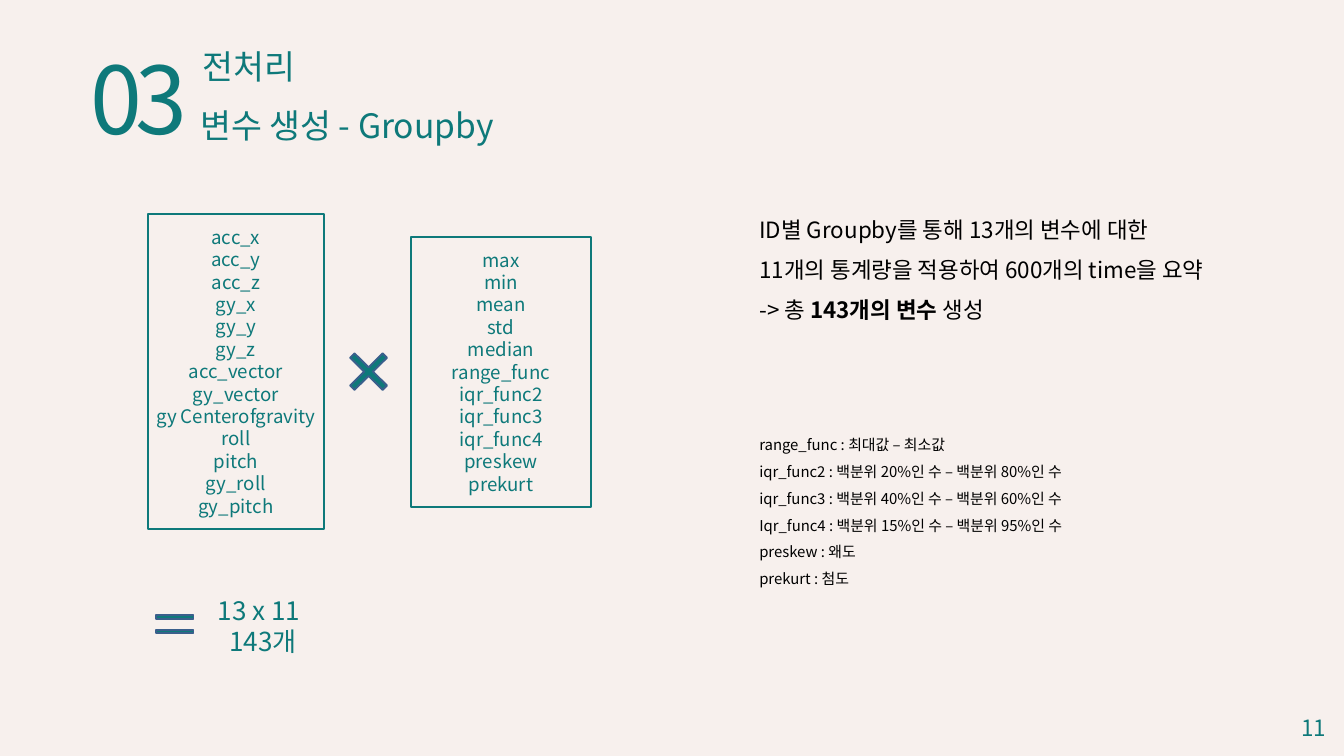
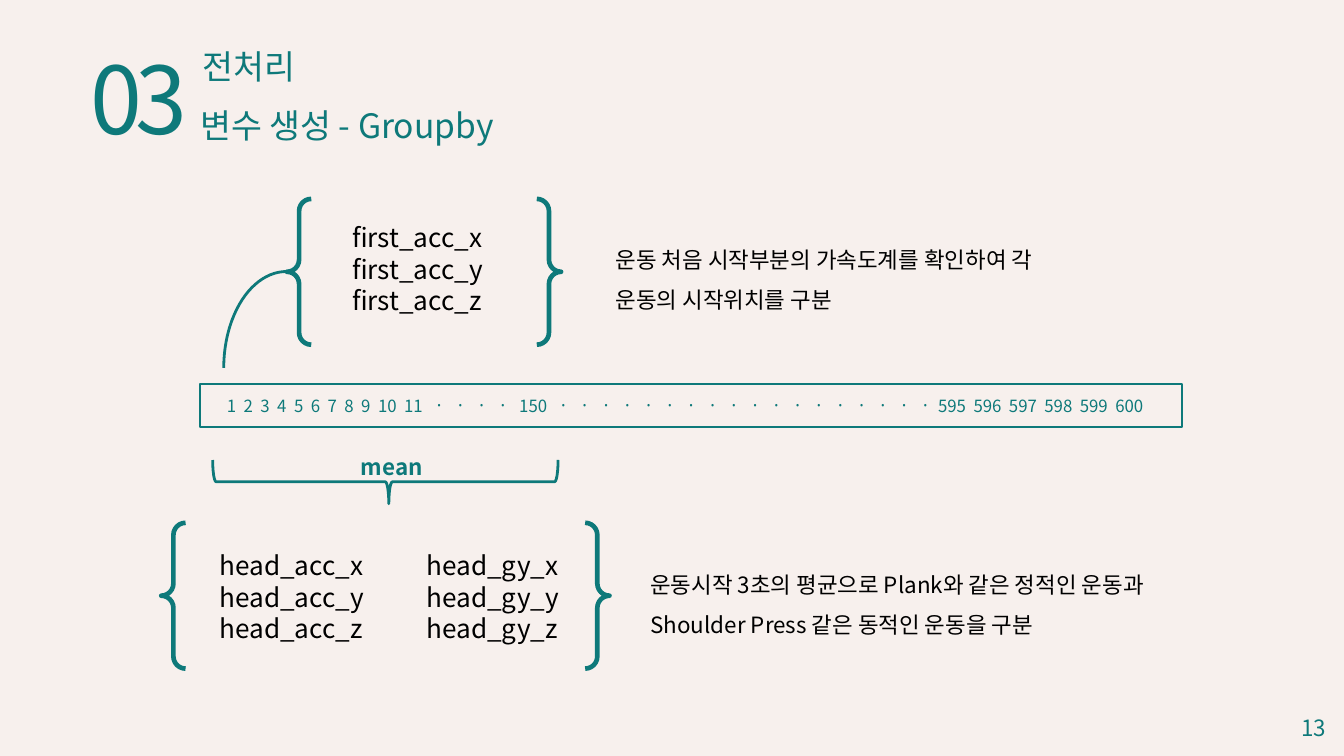
from lxml import etree
from pptx import Presentation
from pptx import util as u
from pptx.dml import color
from pptx.enum import shapes, text
from pptx.oxml import ns

TEAL, BLACK, CREAM, BLUE = "0E797A", "000000", "F7F0ED", "3A5F8C"
FONT = "Noto Sans CJK KR"
ALIGN = text.PP_ALIGN
ANCHOR = text.MSO_ANCHOR
SHAPE = shapes.MSO_SHAPE


def paint(target, hex_colour):
    if hasattr(target, "solid"):
        target.solid()
        target = target.fore_color
    target.rgb = color.RGBColor.from_string(hex_colour)


def write(frame, lines, size, hex_colour=TEAL, align=ALIGN.LEFT, spacing=1.0,
          anchor=ANCHOR.TOP, bold=False, bullet_off=False):
    frame_format = {"word_wrap": True, "auto_size": text.MSO_AUTO_SIZE.NONE,
                    "vertical_anchor": anchor}
    for name, value in frame_format.items():
        setattr(frame, name, value)
    for index, line in enumerate(lines):
        paragraph = frame.add_paragraph() if index else frame.paragraphs[0]
        if bullet_off:
            properties = paragraph._p.get_or_add_pPr()
            properties.set("marL", "0")
            properties.set("indent", "0")
            etree.SubElement(properties, ns.qn("a:buNone"))
        paragraph_format = {"alignment": align, "line_spacing": spacing,
                            "space_before": u.Pt(0)}
        for name, value in paragraph_format.items():
            setattr(paragraph, name, value)
        for words, run_bold, tracking in [(line, bold, 0)] if isinstance(line, str) else line:
            run = paragraph.add_run()
            run.text = words
            for name, value in {"name": FONT, "size": u.Pt(size), "bold": run_bold}.items():
                setattr(run.font, name, value)
            paint(run.font.fill, hex_colour)
            run_properties = run._r.get_or_add_rPr()
            etree.SubElement(run_properties, ns.qn("a:ea")).set("typeface", FONT)
            if tracking:
                run_properties.set("spc", str(tracking * 100))


presentation = Presentation()
presentation.slide_width = u.Inches(20)
presentation.slide_height = u.Inches(11.25)
paint(presentation.slide_master.background.fill, CREAM)

explanations = [
    ("11", (11.2, 2.96, 8, 1.84), [
        "ID별 Groupby를 통해 13개의 변수에 대한",
        "11개의 통계량을 적용하여 600개의 time을 요약",
        [("-> 총 ", False, 0), ("143개의 변수 ", True, 0), ("생성", False, 0)]]),
    ("13", (9.06, 3.41, 6.67, 1.23), [
        "운동 처음 시작부분의 가속도계를 확인하여 각 운동의 시작위치를 구분"]),
]
for page_number, body_place, body_lines in explanations:
    slide = presentation.slides.add_slide(presentation.slide_layouts[1])
    title, body = slide.placeholders
    for shape, place in [(title, (2.88, 1.51, 4.87, 0.71)), (body, body_place)]:
        for name, value in zip(("left", "top", "width", "height"), place):
            setattr(shape, name, u.Inches(value))
    write(title.text_frame, ["변수 생성 - Groupby"], 36)
    write(body.text_frame, body_lines, 24, BLACK, spacing=1.5, bullet_off=True)
    for place, lines, text_format in [
        ((1.25, 0.57, 5.06, 1.78), [[("03", False, -7)]], {"size": 100}),
        ((2.92, 0.63, 4.91, 0.71), ["전처리"], {"size": 36}),
        ((17.5, 10.62, 2.33, 0.4), [page_number],
         {"size": 24, "align": ALIGN.RIGHT, "anchor": ANCHOR.MIDDLE}),
    ]:
        box = slide.shapes.add_textbox(*map(u.Inches, place))
        write(box.text_frame, lines, **text_format)

statistics_slide, timeline_slide = presentation.slides

sensor_variables = ["acc_x", "acc_y", "acc_z", "gy_x", "gy_y", "gy_z", "acc_vector",
                    "gy_vector", "gy Centerofgravity", "roll", "pitch", "gy_roll", "gy_pitch"]
statistics = ["max", "min", "mean", "std", "median", "range_func", "iqr_func2",
              "iqr_func3", "iqr_func4", "preskew", "prekurt"]

dot = "᛫"
time_steps = []
for tokens, gap in [
    (range(1, 11), 4),
    ([11] + [dot] * 4 + [150] + [dot] * 17, 8),
    ([dot, *range(595, 600)], 4),
]:
    for token in tokens:
        time_steps += [(str(token), False, 0), (" ", False, gap)]
time_steps.append(("600", False, 0))

centred = {"align": ALIGN.CENTER, "anchor": ANCHOR.MIDDLE}
for slide, kind, place, line_width, lines, size in [
    (statistics_slide, SHAPE.RECTANGLE, (2.2, 3.18, 2.62, 4.69), 2.25, sensor_variables, 20),
    (statistics_slide, SHAPE.RECTANGLE, (6.12, 3.52, 2.67, 4.02), 2.25, statistics, 20),
    (statistics_slide, SHAPE.MATH_MULTIPLY, (5.02, 5.07, 0.93, 0.92), 2, [], 0),
    (statistics_slide, SHAPE.MATH_EQUAL, (2.22, 9, 0.76, 0.58), 2, [], 0),
    (timeline_slide, SHAPE.RECTANGLE, (2.98, 5.71, 14.61, 0.65), 2.25, [time_steps], 18),
    (timeline_slide, SHAPE.LEFT_BRACE, (5.41, 4.6, 0.65, 5.14), 3, [], 0),
    (timeline_slide, SHAPE.ARC, (2.83, 4.54, 2.87, 1.87), 3, [], 0),
    (timeline_slide, SHAPE.DOUBLE_BRACE, (4.27, 2.96, 4.08, 2.17), 5, [], 0),
    (timeline_slide, SHAPE.DOUBLE_BRACE, (2.4, 7.78, 6.67, 2.17), 5, [], 0),
]:
    shape = slide.shapes.add_shape(kind, *map(u.Inches, place))
    shape.shadow.inherit = False
    shape.line.width = u.Pt(line_width)
    is_operator = kind in (SHAPE.MATH_MULTIPLY, SHAPE.MATH_EQUAL)
    paint(shape.line.fill, BLUE if is_operator else TEAL)
    if is_operator:
        paint(shape.fill, TEAL)
    else:
        shape.fill.background()
    if kind in (SHAPE.LEFT_BRACE, SHAPE.ARC):
        shape.rotation = 270
    adjustments = {SHAPE.MATH_MULTIPLY: [0.1], SHAPE.MATH_EQUAL: [0.09, 0.29],
                   SHAPE.LEFT_BRACE: [0.08, 0.51]}
    for index, value in enumerate(adjustments.get(kind, [])):
        shape.adjustments[index] = value
    if lines:
        write(shape.text_frame, lines, size, **centred)
    if lines == [time_steps]:
        shape.text_frame.margin_right = u.Inches(0.28)

definitions = [
    "range_func : 최대값 – 최소값",
    "iqr_func2 : 백분위 20%인 수 – 백분위 80%인 수",
    "iqr_func3 : 백분위 40%인 수 – 백분위 60%인 수",
    "Iqr_func4 : 백분위 15%인 수 – 백분위 95%인 수",
    "preskew : 왜도",
    "prekurt : 첨도",
]
feature_format = {"size": 28, "hex_colour": BLACK}
for slide, place, lines, text_format in [
    (statistics_slide, (3.14, 8.79, 1.55, 1.04), ["13 x 11", "143개"], {"size": 28}),
    (statistics_slide, (11.2, 6.3, 5.08, 2.47), definitions,
     {"size": 16, "hex_colour": BLACK, "spacing": 1.5}),
    (timeline_slide, (5.14, 3.25, 2.33, 1.51),
     [f"first_acc_{axis}" for axis in "xyz"], feature_format),
    (timeline_slide, (3.17, 8.13, 2.76, 1.51),
     [f"head_acc_{axis}" for axis in "xyz"], feature_format),
    (timeline_slide, (6.25, 8.13, 2.49, 1.51),
     [f"head_gy_{axis}" for axis in "xyz"], feature_format),
    (timeline_slide, (9.58, 8.25, 8.32, 1.23),
     ["운동시작 3초의 평균으로 Plank와 같은 정적인 운동과 Shoulder Press 같은 동적인 운동을 구분"],
     {"size": 24, "hex_colour": BLACK, "spacing": 1.5}),
    (timeline_slide, (5.27, 6.49, 1.15, 0.63), ["mean"],
     {"size": 24, "bold": True, "spacing": 1.5}),
]:
    box = slide.shapes.add_textbox(*map(u.Inches, place))
    write(box.text_frame, lines, **text_format)
    if lines[-1] == "143개":
        box.text_frame.paragraphs[-1].alignment = ALIGN.CENTER

presentation.save("out.pptx")
